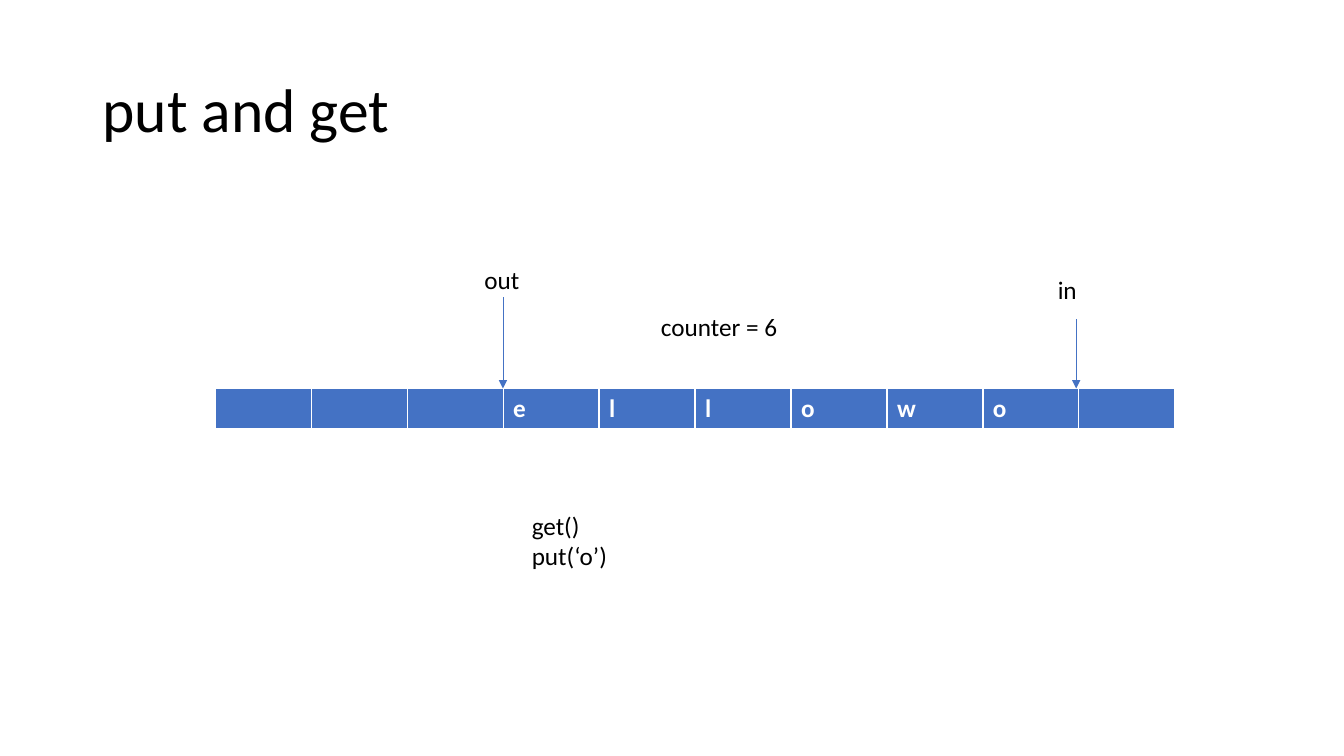
from dataclasses import dataclass

from lxml import etree
from pptx import Presentation
from pptx.dml.color import RGBColor
from pptx.enum.shapes import MSO_CONNECTOR
from pptx.enum.text import MSO_ANCHOR, MSO_AUTO_SIZE, PP_ALIGN
from pptx.oxml.ns import qn
from pptx.util import Pt

STRAIGHT = MSO_CONNECTOR.STRAIGHT
MIDDLE = MSO_ANCHOR.MIDDLE
LEFT = PP_ALIGN.LEFT
FIT_SHAPE = MSO_AUTO_SIZE.SHAPE_TO_FIT_TEXT
NO_AUTOFIT = MSO_AUTO_SIZE.NONE
TITLE_ONLY = 5
EMU_PER_PX = 9525


@dataclass(frozen=True)
class Theme:
    font: str = "Calibri"
    title_size: int = 44
    body_size: int = 18
    ink: str = "000000"
    paper: str = "FFFFFF"
    accent: str = "4472C4"


THEME = Theme()
BUFFER = ["", "", "", "e", "l", "l", "o", "w", "o", ""]
BORDERS = {"a:lnL": 1, "a:lnR": 1, "a:lnT": 1, "a:lnB": 3}


def px(length):
    return round(length * EMU_PER_PX)


def format_text(frame, size, color, bold=False):
    for para in frame.paragraphs:
        para.alignment = LEFT
        for span in para.runs:
            span.font.name = THEME.font
            span.font.size = Pt(size)
            span.font.bold = bold
            span.font.color.rgb = RGBColor.from_string(color)


def add_title(slide, box, text):
    title = slide.shapes.title
    title.left, title.top, title.width, title.height = map(px, box)
    frame = title.text_frame
    frame.text = text
    frame.vertical_anchor = MIDDLE
    frame.auto_size = NO_AUTOFIT
    frame.paragraphs[0].line_spacing = 0.9
    format_text(frame, THEME.title_size, THEME.ink)


def add_label(slide, box, text):
    frame = slide.shapes.add_textbox(*map(px, box)).text_frame
    frame.word_wrap = True
    frame.auto_size = FIT_SHAPE
    frame.text = text
    format_text(frame, THEME.body_size, THEME.ink)


def add_borders(cell):
    properties = cell._tc.get_or_add_tcPr()
    for place, (tag, width) in enumerate(BORDERS.items()):
        line = etree.Element(qn(tag), w=str(Pt(width)))
        fill = etree.SubElement(line, qn("a:solidFill"))
        etree.SubElement(fill, qn("a:srgbClr"), val=THEME.paper)
        properties.insert(place, line)


def add_buffer(slide, box, values):
    left, top, width, height = map(px, box)
    table = slide.shapes.add_table(1, len(values), left, top, width, height).table
    for column, value in zip(table.columns, values):
        column.width = width // len(values)
    for cell, value in zip(table.rows[0].cells, values):
        cell.fill.solid()
        cell.fill.fore_color.rgb = RGBColor.from_string(THEME.accent)
        add_borders(cell)
        if value:
            cell.text = value
            format_text(cell.text_frame, THEME.body_size, THEME.paper, bold=True)


def add_pointer(slide, box, text, arrow_top, arrow_bottom):
    left = box[0]
    # Arrow from the label down to the buffer
    tip = left + 27
    arrow = slide.shapes.add_connector(
        STRAIGHT, px(tip), px(arrow_top), px(tip), px(arrow_bottom))
    arrow.line.color.rgb = RGBColor.from_string(THEME.accent)
    arrow.line.width = Pt(0.5)
    etree.SubElement(arrow.line._get_or_add_ln(), qn("a:tailEnd"), type="triangle")
    etree.SubElement(arrow._element.spPr, qn("a:effectLst"))
    add_label(slide, box, text)


def build_buffer_slide(deck):
    slide = deck.slides.add_slide(deck.slide_layouts[TITLE_ONLY])
    add_title(slide, (88, 38, 1104, 139), "put and get")
    # Circular buffer with its two positions
    buffer_top = 370
    add_buffer(slide, (205, buffer_top, 914, 39), BUFFER)
    add_pointer(slide, (998, 257, 104, 39), "in", 304, buffer_top)
    add_pointer(slide, (452, 247, 104, 39), "out", 283, buffer_top)
    # State and calls
    add_label(slide, (620, 292, 167, 39), "counter = 6")
    add_label(slide, (497, 481, 228, 68), "get()\nput(‘o’)")


def main():
    deck = Presentation()
    deck.slide_width, deck.slide_height = px(1280), px(720)
    build_buffer_slide(deck)
    deck.save("out.pptx")


if __name__ == "__main__":
    main()
